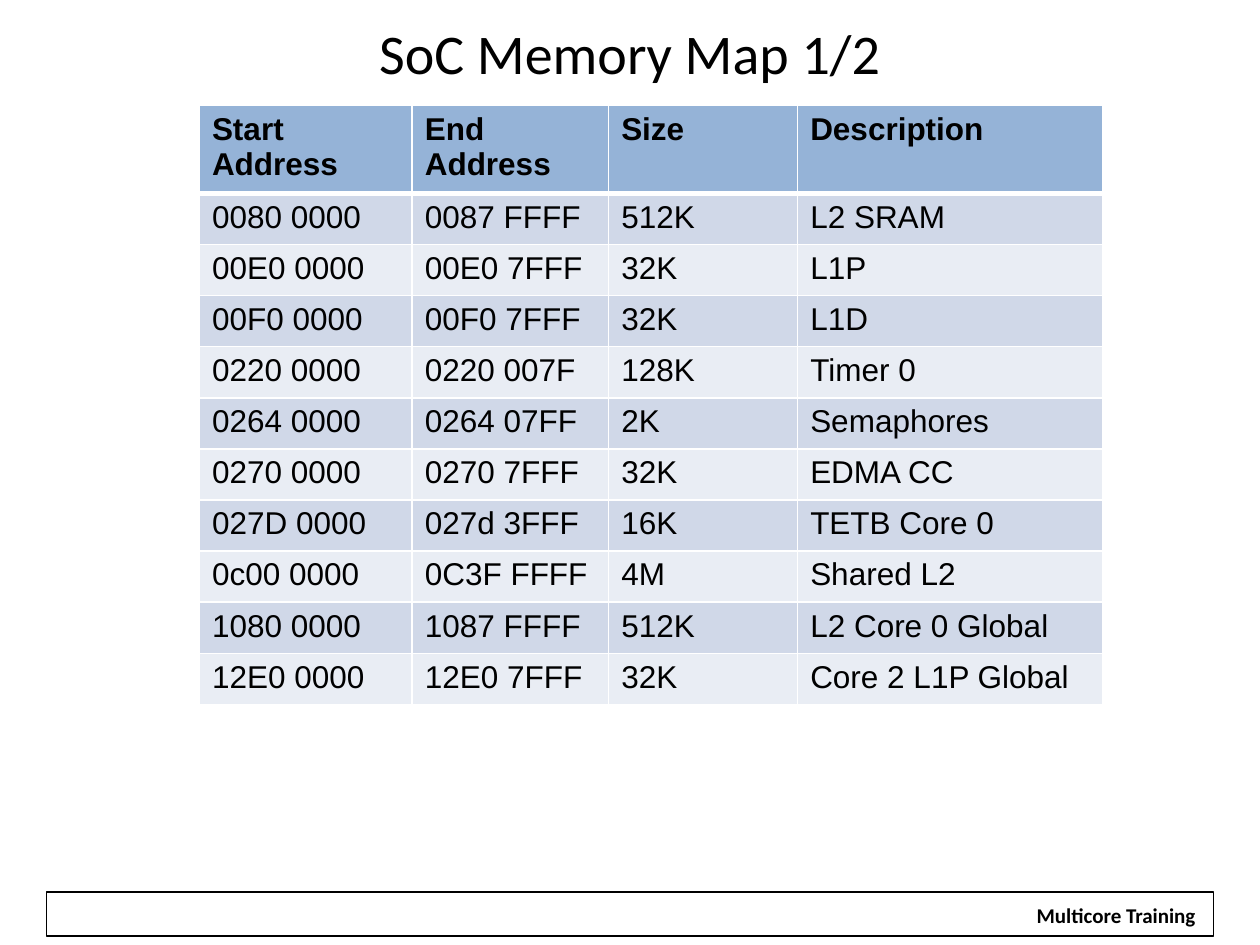
import pptx
import pptx.dml.color
import pptx.enum.shapes
import pptx.enum.text
import pptx.oxml
import pptx.oxml.ns
import pptx.util
from pptx.util import Cm

RGBColor = pptx.dml.color.RGBColor
BLACK = RGBColor(0x00, 0x00, 0x00)
WHITE = RGBColor(0xFF, 0xFF, 0xFF)
GREY = RGBColor(0x7D, 0x7D, 0x7D)
HEADER_BLUE = RGBColor(0x95, 0xB3, 0xD7)
BANDS = (RGBColor(0xD0, 0xD8, 0xE8), RGBColor(0xE9, 0xED, 0xF4))

COLUMN_WIDTHS = (4.29, 3.96, 3.81, 6.15)
ROW_HEIGHT = 1.03
MEMORY_MAP = (
    ("Start Address", "End Address", "Size", "Description"),
    ("0080 0000", "0087 FFFF", "512K", "L2 SRAM"),
    ("00E0 0000", "00E0 7FFF", "32K", "L1P"),
    ("00F0 0000", "00F0 7FFF", "32K", "L1D"),
    ("0220 0000", "0220 007F", "128K", "Timer 0"),
    ("0264 0000", "0264 07FF", "2K", "Semaphores"),
    ("0270 0000", "0270 7FFF", "32K", "EDMA CC"),
    ("027D 0000", "027d 3FFF", "16K", "TETB Core 0"),
    ("0c00 0000", "0C3F FFFF", "4M", "Shared L2"),
    ("1080 0000", "1087 FFFF", "512K", "L2 Core 0 Global"),
    ("12E0 0000", "12E0 7FFF", "32K", "Core 2 L1P Global"),
)


def line_element(tag, color, points):
    """Return a solid line element such as a:ln or a:lnL."""
    return pptx.oxml.parse_xml(
        f'<a:{tag} {pptx.oxml.ns.nsdecls("a")} w="{pptx.util.Pt(points)}">'
        f'<a:solidFill><a:srgbClr val="{color}"/></a:solidFill></a:{tag}>'
    )


class SlideBuilder:
    heading_font = "Calibri"
    table_font = "Arial"

    def __init__(self, page):
        self.page = page

    def set_text(self, para, text, font, size, bold=False):
        para.text = text
        para.font.name = font
        para.font.size = pptx.util.Pt(size)
        para.font.bold = bold
        para.font.color.rgb = BLACK

    def title(self, text, left, top, width, height):
        box = self.page.shapes.add_textbox(Cm(left), Cm(top), Cm(width), Cm(height))
        frame = box.text_frame
        frame.word_wrap = True
        frame.vertical_anchor = pptx.enum.text.MSO_ANCHOR.MIDDLE
        para = frame.paragraphs[0]
        para.alignment = pptx.enum.text.PP_ALIGN.CENTER
        self.set_text(para, text, self.heading_font, 32)

    def frame(self, left, top, width, height):
        box = self.page.shapes.add_shape(
            pptx.enum.shapes.MSO_SHAPE.RECTANGLE,
            Cm(left), Cm(top), Cm(width), Cm(height))
        box.shadow.inherit = False
        box.fill.background()
        box.line.color.rgb = BLACK
        box.line.width = pptx.util.Pt(0.75)

    def label(self, text, left, top, width, height):
        """Add a white, outlined-text label that grows with its text."""
        box = self.page.shapes.add_textbox(Cm(left), Cm(top), Cm(width), Cm(height))
        box.fill.solid()
        box.fill.fore_color.rgb = WHITE
        frame = box.text_frame
        frame.word_wrap = False
        frame.auto_size = pptx.enum.text.MSO_AUTO_SIZE.SHAPE_TO_FIT_TEXT
        para = frame.paragraphs[0]
        para.alignment = pptx.enum.text.PP_ALIGN.CENTER
        self.set_text(para, text, self.heading_font, 12, bold=True)
        properties = para.runs[0]._r.get_or_add_rPr()
        properties.insert(0, line_element("ln", GREY, 0.83))

    def table(self, rows, left, top):
        table = self.page.shapes.add_table(
            len(rows), len(COLUMN_WIDTHS), Cm(left), Cm(top),
            Cm(sum(COLUMN_WIDTHS)), Cm(ROW_HEIGHT * len(rows))).table
        for column, width in zip(table.columns, COLUMN_WIDTHS):
            column.width = Cm(width)
        for index, values in enumerate(rows):
            table.rows[index].height = Cm(ROW_HEIGHT)
            for cell, text in zip(table.rows[index].cells, values):
                self.cell(cell, text, index)

    def cell(self, cell, text, row):
        header = row == 0
        para = cell.text_frame.paragraphs[0]
        self.set_text(para, text, self.table_font, 18, header)
        cell.fill.solid()
        cell.fill.fore_color.rgb = HEADER_BLUE if header else BANDS[(row - 1) % 2]
        borders = {"lnL": 1, "lnR": 1,
                   "lnT": 3 if row == 1 else 1, "lnB": 3 if header else 1}
        properties = cell._tc.get_or_add_tcPr()
        for position, (tag, points) in enumerate(borders.items()):
            properties.insert(position, line_element(tag, WHITE, points))


def main():
    deck = pptx.Presentation()
    deck.slide_width = Cm(25.4)
    deck.slide_height = Cm(19.05)
    builder = SlideBuilder(deck.slides.add_slide(deck.slide_layouts[6]))
    builder.frame(0.94, 17.98, 23.52, 0.89)
    builder.label("Multicore Training", 20.62, 18.06, 3.76, 0.76)
    builder.title("SoC Memory Map 1/2", 1.27, 0.2, 22.86, 1.7)
    builder.table(MEMORY_MAP, 4.02, 2.12)
    deck.save("out.pptx")


if __name__ == "__main__":
    main()
